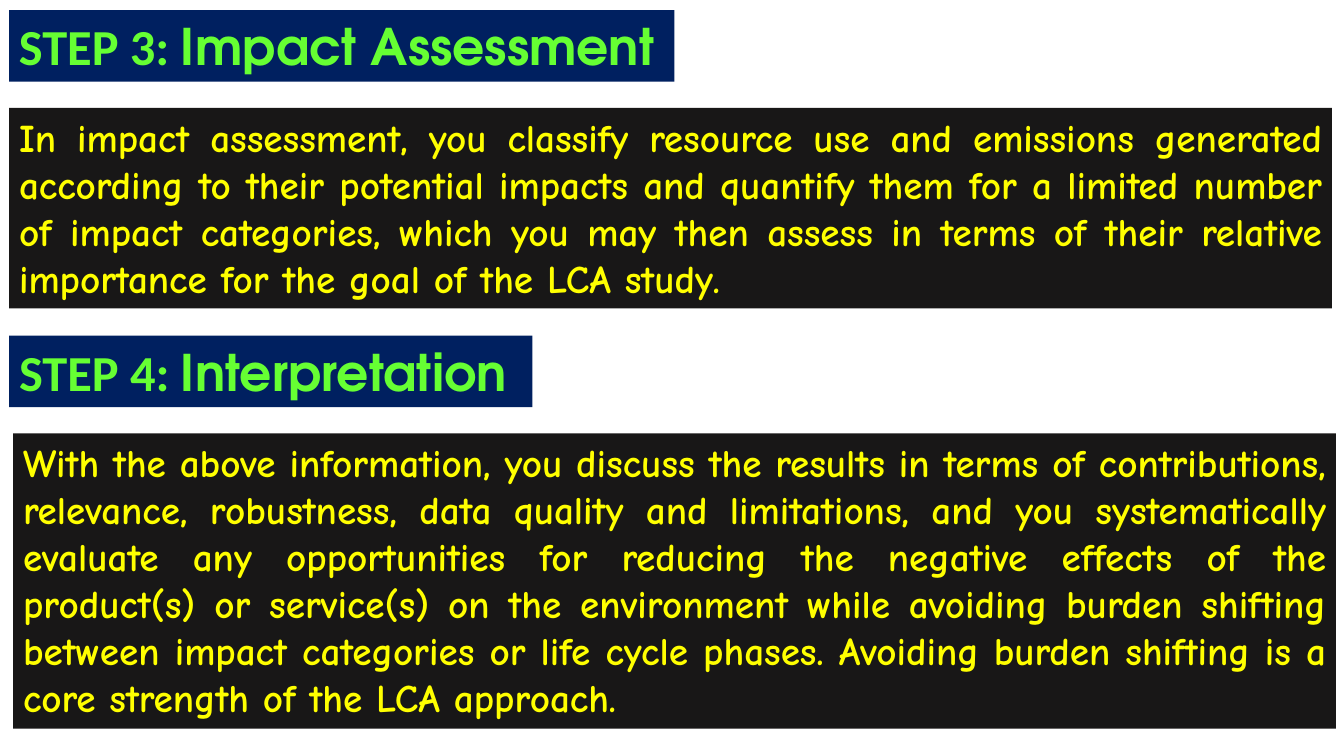
from dataclasses import dataclass

from pptx import Presentation
from pptx.dml.color import RGBColor
from pptx.enum.text import MSO_AUTO_SIZE as AutoSize, PP_ALIGN as Align
from pptx.slide import Slide
from pptx.text.text import _Run as Run
from pptx.util import Inches, Pt

NAVY = RGBColor(0x00, 0x20, 0x60)
CHARCOAL = RGBColor(0x18, 0x17, 0x17)
GREEN = RGBColor(0x66, 0xFF, 0x33)
YELLOW = RGBColor(0xFF, 0xFF, 0x00)

SLIDE_WIDTH, SLIDE_HEIGHT = Inches(13.33), Inches(7.5)
COLUMN = SLIDE_WIDTH / 1333
ROW = SLIDE_HEIGHT / 750
STEP_PITCH = 323
BODY_OFFSET = 97
BODY_COLUMNS = 1312
HEADING_ROWS = 71


@dataclass(frozen=True)
class Step:
    label: str
    title: str
    heading_columns: int
    body_left: int
    body_rows: int
    body: str


STEPS = [
    Step("STEP 3: ", "Impact Assessment", 660, 9, 199,
         "In impact assessment, you classify resource use and emissions generated "
         "according to their potential impacts and quantify them for a limited number "
         "of impact categories, which you may then assess in terms of their relative "
         "importance for the goal of the LCA study."),
    Step("STEP 4: ", "Interpretation", 519, 13, 293,
         "With the above information, you discuss the results in terms of contributions, "
         "relevance, robustness, data quality and limitations, and you systematically "
         "evaluate any opportunities for reducing the negative effects of the "
         "product(s) or service(s) on the environment while avoiding burden shifting "
         "between impact categories or life cycle phases. Avoiding burden shifting is a "
         "core strength of the LCA approach."),
]


def add_panel(slide: Slide, left: int, top: int, columns: int, rows: int,
              fill: RGBColor, wrap: bool):
    panel = slide.shapes.add_textbox(round(left * COLUMN), round(top * ROW),
                                     round(columns * COLUMN), round(rows * ROW))
    panel.fill.solid()
    panel.fill.fore_color.rgb = fill
    panel.text_frame.word_wrap = wrap
    panel.text_frame.auto_size = AutoSize.SHAPE_TO_FIT_TEXT
    return panel.text_frame


def style_run(run: Run, font_name: str, size: int, color: RGBColor) -> None:
    run.font.name = font_name
    run.font.size = Pt(size)
    run.font.bold = True
    run.font.color.rgb = color


def draw_step(slide: Slide, step: Step, top: int) -> None:
    heading = add_panel(slide, 9, top, step.heading_columns, HEADING_ROWS,
                        NAVY, False).paragraphs[0]
    heading.text = step.label
    heading.add_run().text = step.title
    for run, font_name in zip(heading.runs, ("Calibri", "TeX Gyre Adventor")):
        style_run(run, font_name, 36, GREEN)

    explanation = add_panel(slide, step.body_left, top + BODY_OFFSET, BODY_COLUMNS,
                            step.body_rows, CHARCOAL, True).paragraphs[0]
    explanation.text = step.body
    explanation.alignment = Align.JUSTIFY
    style_run(explanation.runs[0], "Comic Neue", 28, YELLOW)


def main() -> None:
    deck = Presentation()
    deck.slide_width, deck.slide_height = SLIDE_WIDTH, SLIDE_HEIGHT
    slide = deck.slides.add_slide(deck.slide_layouts[6])
    for index, step in enumerate(STEPS):
        draw_step(slide, step, 10 + index * STEP_PITCH)
    deck.save("out.pptx")


if __name__ == "__main__":
    main()
